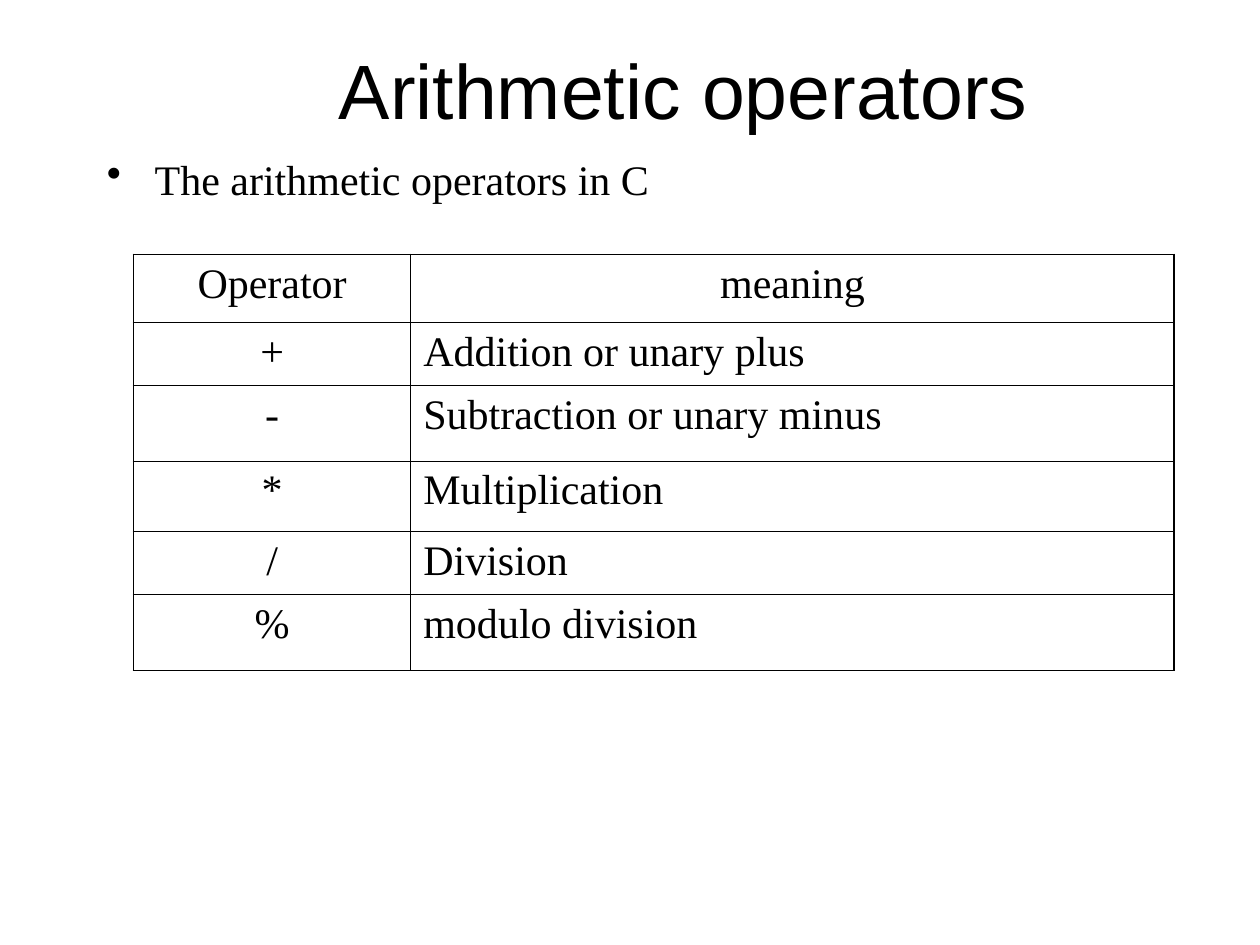
from lxml import etree
from pptx import Presentation
from pptx.dml.color import RGBColor
from pptx.enum.text import MSO_ANCHOR, PP_ALIGN
from pptx.oxml.ns import qn
from pptx.util import Inches, Pt

CENTER, LEFT = PP_ALIGN.CENTER, PP_ALIGN.LEFT
MIDDLE = MSO_ANCHOR.MIDDLE
BLACK = "000000"
OUTER, INNER = Pt(1.08), Pt(0.45)


def write(frame, text, font="Times New Roman", size=24, align=LEFT, before=6, color=BLACK):
    paragraph = frame.paragraphs[0]
    paragraph.alignment = align
    paragraph.space_before = Pt(before)
    run = paragraph.add_run()
    run.text = text
    run.font.name = font
    run.font.size = Pt(size)
    run.font.color.rgb = RGBColor.from_string(color)
    return paragraph


def add_border(cell, side, width):
    line = etree.SubElement(cell._tc.get_or_add_tcPr(), qn("a:ln" + side), w=str(width))
    fill = etree.SubElement(line, qn("a:solidFill"))
    etree.SubElement(fill, qn("a:srgbClr"), val=BLACK)


prs = Presentation()
prs.slide_width, prs.slide_height = Inches(10), Inches(7.5)
slide = prs.slides.add_slide(prs.slide_layouts[6])

# Title, set right of centre by a wide left inset
title = slide.shapes.add_textbox(Inches(0.75), Inches(0.08), Inches(8.5), Inches(1.25)).text_frame
title.word_wrap = True
title.vertical_anchor = MIDDLE
title.margin_left = Inches(0.95)
write(title, "Arithmetic operators", font="Arial", size=44, align=CENTER, before=0)

# Bulleted introduction
intro = slide.shapes.add_textbox(Inches(0.75), Inches(1.17), Inches(8.66), Inches(0.77)).text_frame
intro.word_wrap = True
bullet_props = write(intro, "The arithmetic operators in C")._p.get_or_add_pPr()
bullet_props.set("marL", str(Inches(0.38)))
bullet_props.set("indent", str(-Inches(0.38)))
etree.SubElement(bullet_props, qn("a:buChar"), char="•")

# Operator table
operators = [
    ("Operator", "meaning"),
    ("+", "Addition or unary plus"),
    ("-", "Subtraction or unary minus"),
    ("*", "Multiplication"),
    ("/", "Division"),
    ("%", "modulo division"),
]
row_heights = [0.54, 0.5, 0.6, 0.56, 0.5, 0.6]
column_widths = [2.2, 6.06]
table = slide.shapes.add_table(
    len(operators), len(column_widths), Inches(1.06), Inches(2.02),
    Inches(sum(column_widths)), Inches(sum(row_heights))).table
table.first_row = table.horz_banding = False
for column, width in zip(table.columns, column_widths):
    column.width = Inches(width)

last_row, last_col = len(operators) - 1, len(column_widths) - 1
for r, entries in enumerate(operators):
    table.rows[r].height = Inches(row_heights[r])
    for c, text in enumerate(entries):
        cell = table.cell(r, c)
        write(cell.text_frame, text, align=CENTER if r == 0 or c == 0 else LEFT)
        on_edge = {"L": c == 0, "R": c == last_col, "T": r == 0, "B": r == last_row}
        for side, outer in on_edge.items():
            add_border(cell, side, OUTER if outer else INNER)
        cell.fill.background()

prs.save("out.pptx")
